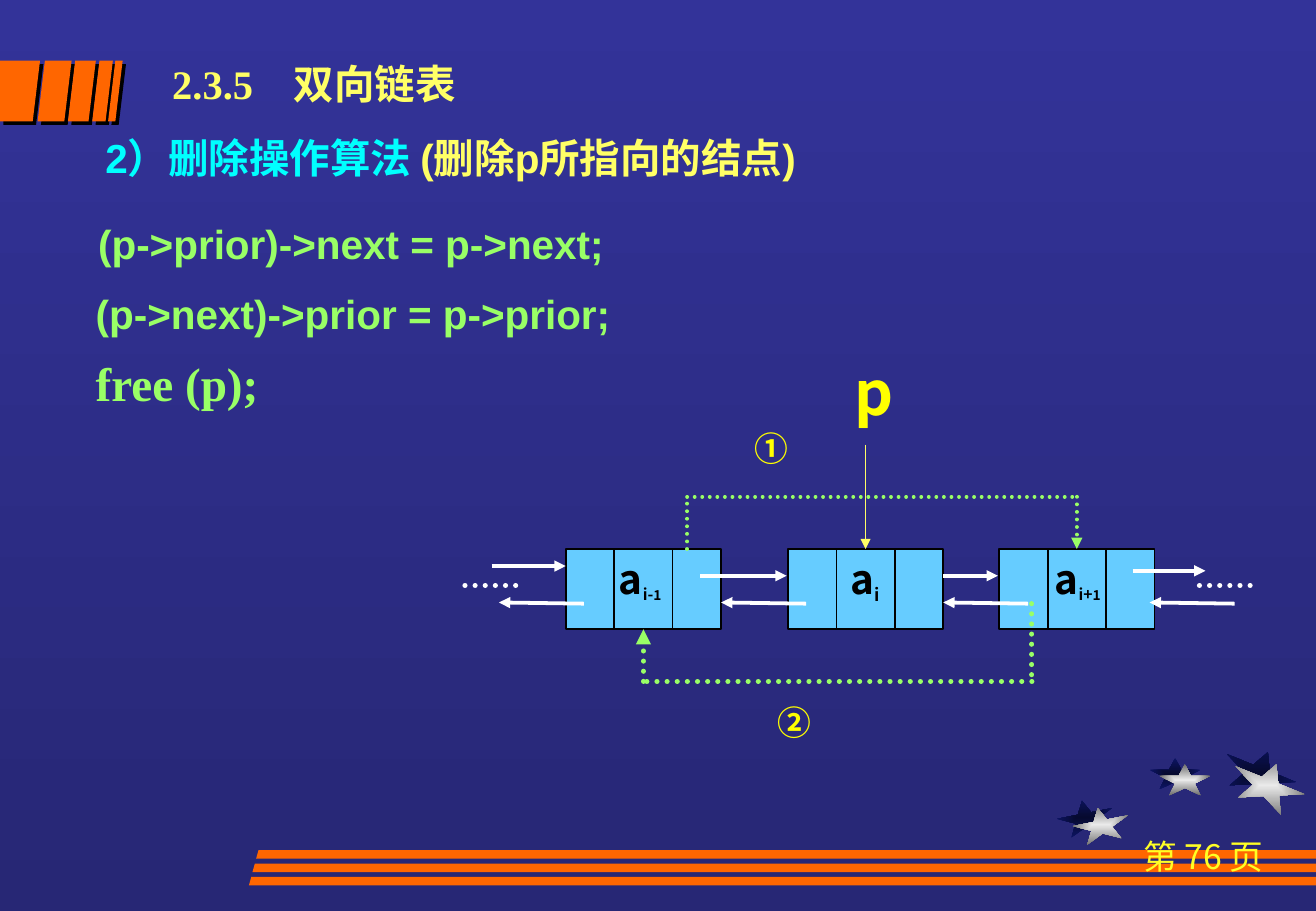
from dataclasses import dataclass

from lxml import etree
from pptx import Presentation
from pptx.dml.color import RGBColor
from pptx.enum.dml import MSO_LINE
from pptx.enum.shapes import MSO_CONNECTOR, MSO_SHAPE
from pptx.enum.text import PP_ALIGN
from pptx.oxml.ns import qn
from pptx.util import Inches, Pt

STRAIGHT = MSO_CONNECTOR.STRAIGHT
RECTANGLE = MSO_SHAPE.RECTANGLE
ROUND_DOT = MSO_LINE.ROUND_DOT
LEFT, CENTER = PP_ALIGN.LEFT, PP_ALIGN.CENTER
TOP_SIDE, BOTTOM_SIDE = 0, 2
WIDTH, HEIGHT = 10.84, 7.5


@dataclass(frozen=True)
class Theme:
    sans: str = "Arial"
    serif: str = "Times New Roman"
    cjk: str = "Noto Sans CJK SC"
    sky: tuple = ("333399", "272775")
    star_shade: tuple = ("060A2F", "0D1565")
    star_light: tuple = ("EAEAEA", "6C6C6C")
    orange: str = "FF6600"
    title: str = "FFFF66"
    heading: str = "00FFFF"
    code: str = "99FF66"
    mark: str = "FFFF00"
    page: str = "FFFF25"
    node: str = "66CCFF"
    black: str = "000000"
    white: str = "FFFFFF"
    body_size: int = 24
    free_size: int = 28
    pointer_size: int = 36
    small_size: int = 20


THEME = Theme()


def rgb(value):
    return RGBColor.from_string(value)


def add_text(slide, box, runs, *, font=THEME.cjk, size=THEME.body_size, color=THEME.title,
             bold=True, align=LEFT, tab=None):
    """Each run is its text and the format that differs from the rest."""
    frame = slide.shapes.add_textbox(*map(Inches, box)).text_frame
    frame.word_wrap = True
    paragraph = frame.paragraphs[0]
    paragraph.alignment = align
    if tab:
        tabs = etree.SubElement(paragraph._p.get_or_add_pPr(), qn("a:tabLst"))
        etree.SubElement(tabs, qn("a:tab"), pos=str(Inches(tab)), algn="l")
    for words, change in runs:
        run = paragraph.add_run()
        run.text = words
        run.font.name = font
        run.font.size = Pt(change.get("size", size))
        run.font.bold = bold
        run.font.color.rgb = rgb(change.get("color", color))
        properties = run.font._element
        etree.SubElement(properties, qn("a:ea"), typeface=THEME.cjk)
        if change.get("sub"):
            properties.set("baseline", "-25000")


def set_gradient(fill, colors, angle=0):
    fill.gradient()
    fill.gradient_angle = angle
    for stop, position, color in zip(fill.gradient_stops, (0, 1), colors):
        stop.position = position
        stop.color.rgb = rgb(color)


def add_polygon(slide, points, color=None):
    corners = [(Inches(x), Inches(y)) for x, y in points]
    builder = slide.shapes.build_freeform(*corners[0], scale=1.0)
    builder.add_line_segments(corners[1:], close=True)
    polygon = builder.convert_to_shape()
    polygon.shadow.inherit = False
    polygon.line.fill.background()
    if color:
        polygon.fill.solid()
        polygon.fill.fore_color.rgb = rgb(color)
    return polygon


def add_line(slide, start, end, color, width, arrow=False, dotted=False):
    line = slide.shapes.add_connector(STRAIGHT, *map(Inches, (*start, *end)))
    line.line.color.rgb = rgb(color)
    line.line.width = Pt(width)
    outline = line.line._get_or_add_ln()
    if dotted:
        line.line.dash_style = ROUND_DOT
        outline.set("cap", "rnd")
    if arrow:
        etree.SubElement(outline, qn("a:tailEnd"), type="triangle")
    etree.SubElement(line._element.spPr, qn("a:effectLst"))
    return line


def add_star(slide, box, rotation, colors):
    left, top, width, height = box
    unit = [(0, .38), (.38, .38), (.5, 0), (.62, .38), (1, .38),
            (.69, .62), (.81, 1), (.5, .76), (.19, 1), (.31, .62)]
    star = add_polygon(slide, [(left + x * width, top + y * height) for x, y in unit])
    star.rotation = rotation
    set_gradient(star.fill, colors)
    gradient = star._element.spPr.find(qn("a:gradFill"))
    gradient.remove(gradient.find(qn("a:lin")))
    path = etree.SubElement(gradient, qn("a:path"), path="rect")
    etree.SubElement(path, qn("a:fillToRect"), l="50000", t="50000", r="50000", b="50000")


def add_stars(slide, left, top):
    # Position, size, rotation and offset of the lit star from its shade
    stars = [(0, .41, .46, .28, 349, .13, .06),
             (.76, .06, .42, .26, 0, .08, .05),
             (1.36, 0, .61, .37, 22, .07, .1)]
    for x, y, width, height, rotation, dx, dy in stars:
        add_star(slide, (left + x, top + y, width, height), rotation, THEME.star_shade)
        add_star(slide, (left + x + dx, top + y + dy, width, height), rotation, THEME.star_light)


def add_title_blocks(slide, top, height, slant=.06):
    edges = [(0, .33), (.37, .59), (.62, .79), (.82, .93), (.95, 1.01)]
    for left, right in edges:
        block = add_polygon(slide, [(left, top), (right, top), (right - slant, top + height),
                                    (max(left - slant, 0), top + height)], THEME.orange)
        effects = block._element.spPr.find(qn("a:effectLst"))
        shadow = etree.SubElement(effects, qn("a:outerShdw"), dist=str(Pt(2.8)), dir="2700000",
                                  algn="ctr", rotWithShape="0")
        etree.SubElement(shadow, qn("a:srgbClr"), val=THEME.black)


def add_footer(slide, left, top):
    for row in range(3):
        x, y = left - .03 * row, top + .11 * row
        add_polygon(slide, [(x, y), (WIDTH, y), (WIDTH, y + .07), (x - .02, y + .07)],
                    THEME.orange)
    add_text(slide, (9, top - .17, 1.83, .5), [("第 76 页", {})], size=THEME.small_size,
             color=THEME.page, bold=False, align=CENTER)


def add_algorithm(slide, left, top):
    add_text(slide, (left + .63, top, 3.92, .58), [("2.3.5\t双向链表", {})],
             font=THEME.serif, tab=1)
    add_text(slide, (left + .08, top + .61, 8.5, .5),
             [("2）删除操作算法 ", {"color": THEME.heading}), ("(删除p所指向的结点)", {})],
             font=THEME.sans)
    statements = [("(p->prior)->next = p->next;", .02, 1.31, THEME.sans, THEME.body_size),
                  ("(p->next)->prior = p->prior;", 0, 1.89, THEME.sans, THEME.body_size),
                  ("free (p);", 0, 2.43, THEME.serif, THEME.free_size)]
    for code, x, y, font, size in statements:
        add_text(slide, (left + x, top + y, 6.44, .5), [(code, {})],
                 font=font, size=size, color=THEME.code)


def add_node(slide, box, label_shift, subscripts):
    left, top, width, height = box
    node = slide.shapes.add_shape(RECTANGLE, *map(Inches, box))
    node.shadow.inherit = False
    node.fill.solid()
    node.fill.fore_color.rgb = rgb(THEME.node)
    node.line.color.rgb = rgb(THEME.black)
    node.line.width = Pt(1)
    for divider in (left + .4, left + .88):
        add_line(slide, (divider, top), (divider, top + height), THEME.black, 1)
    runs = [("a", {})] + [(words, {"size": size, "sub": True}) for words, size in subscripts]
    add_text(slide, (left + label_shift, top - .01, .75, .53), runs, color=THEME.black)
    return node


def add_linked_list(slide, left, top):
    # Nodes
    width, height = 1.28, .66
    nodes = [add_node(slide, (left + x, top, width, height), shift, subscripts)
             for x, shift, subscripts in [(0, .34, [("i-", 16), ("1", 14)]),
                                          (1.83, .42, [("i", 18)]),
                                          (3.57, .36, [("i+", 16), ("1", 14)])]]
    # Next and prior arrows
    for start, end, y in [(-.61, 0, .14), (1.11, 1.82, .22), (3.11, 3.56, .22), (4.67, 5.27, .18)]:
        add_line(slide, (left + start, top + y), (left + end, top + y), THEME.white, 2.25, arrow=True)
    for start in (.15, 1.98, 3.81, 5.51):
        add_line(slide, (left + start, top + .45), (left + start - .7, top + .44),
                 THEME.white, 2.25, arrow=True)
    for start in (-.83, 5.22):
        add_line(slide, (left + start, top + .3), (left + start + .46, top + .3),
                 THEME.white, 3, dotted=True)
    # New links that bypass the deleted node
    routes = [([(1, 0), (1, -.43), (4.21, -.43), (4.21, 0)], 2.25, nodes[2], TOP_SIDE),
              ([(3.84, .45), (3.84, 1.09), (.64, 1.09), (.64, .66)], 3, nodes[0], BOTTOM_SIDE)]
    for route, weight, target, side in routes:
        corners = [(left + x, top + y) for x, y in route]
        for start, end in zip(corners, corners[1:]):
            last = end == corners[-1]
            link = add_line(slide, start, end, THEME.code, weight, arrow=last, dotted=True)
            if last:
                link.end_connect(target, side)
    # Pointer p and step numbers
    pointer = add_line(slide, (left + 2.47, top - .86), (left + 2.47, top), THEME.title, 1, arrow=True)
    pointer.end_connect(nodes[1], TOP_SIDE)
    for words, x, y, size in [("p", 2.28, -1.65, THEME.pointer_size),
                              ("①", 1.46, -1.05, THEME.small_size),
                              ("②", 1.65, 1.21, THEME.small_size)]:
        add_text(slide, (left + x, top + y, .55, .44), [(words, {})], size=size, color=THEME.mark)


def main():
    deck = Presentation()
    deck.slide_width, deck.slide_height = Inches(WIDTH), Inches(HEIGHT)
    slide = deck.slides.add_slide(deck.slide_layouts[6])
    set_gradient(slide.background.fill, THEME.sky, angle=270)
    add_stars(slide, 8.71, 6.18)
    add_title_blocks(slide, .5, .5)
    add_footer(slide, 2.13, 7)
    add_algorithm(slide, .69, .44)
    add_linked_list(slide, 4.66, 4.52)
    deck.save("out.pptx")


if __name__ == "__main__":
    main()
